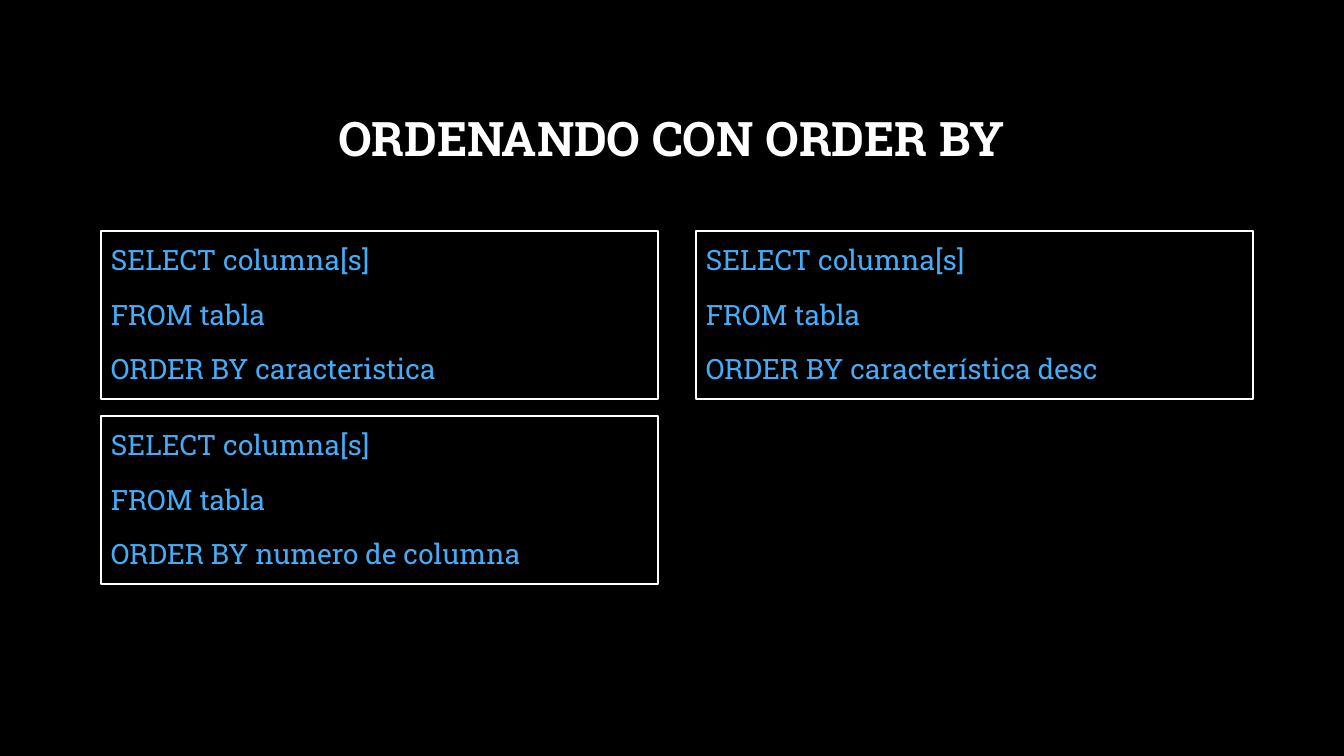
from pptx import Presentation
from pptx.dml.color import RGBColor
from pptx.enum.shapes import MSO_SHAPE
from pptx.enum.text import MSO_ANCHOR, PP_ALIGN
from pptx.util import Pt

SLIDE_WIDTH, SLIDE_HEIGHT = 1344, 756
EMU_PER_PX = 12192000 / SLIDE_WIDTH
FONT = "Roboto Slab"
BLACK, WHITE, BLUE = "000000", "FFFFFF", "45ADF8"

LEFT, TOP = 101, 231
BOX_WIDTH, BOX_HEIGHT = 557, 168
COLUMN_STEP, ROW_STEP = 595, 185

# Column, row and sort criterion of each query
QUERIES = [
    (0, 0, "caracteristica"),
    (0, 1, "numero de columna"),
    (1, 0, "característica desc"),
]


def px(length):
    return round(length * EMU_PER_PX)


def color(value):
    return RGBColor.from_string(value)


def write(frame, lines, *, size, ink, bold=False, align=PP_ALIGN.LEFT,
          anchor=MSO_ANCHOR.TOP, line_spacing=1.0, space_before=0):
    frame.word_wrap = True
    frame.vertical_anchor = anchor
    for index, line in enumerate(lines):
        paragraph = frame.paragraphs[0] if index == 0 else frame.add_paragraph()
        paragraph.alignment = align
        paragraph.line_spacing = line_spacing
        paragraph.space_before = Pt(space_before)
        run = paragraph.add_run()
        run.text = line
        run.font.name = FONT
        run.font.size = Pt(size)
        run.font.bold = bold
        run.font.color.rgb = color(ink)


def add_title(slide, text):
    box = slide.shapes.add_textbox(px(LEFT), px(68), px(1141), px(146))
    write(box.text_frame, [text], size=34, ink=WHITE, bold=True,
          align=PP_ALIGN.CENTER, anchor=MSO_ANCHOR.MIDDLE, line_spacing=0.9)


def add_query(slide, column, row, criterion):
    box = slide.shapes.add_shape(
        MSO_SHAPE.RECTANGLE,
        px(LEFT + column * COLUMN_STEP), px(TOP + row * ROW_STEP),
        px(BOX_WIDTH), px(BOX_HEIGHT))
    box.shadow.inherit = False
    box.fill.solid()
    box.fill.fore_color.rgb = color(BLACK)
    box.line.color.rgb = color(WHITE)
    box.line.width = Pt(2)
    lines = ["SELECT columna[s]", "FROM tabla", f"ORDER BY {criterion}"]
    write(box.text_frame, lines, size=20, ink=BLUE,
          line_spacing=1.2, space_before=10)


def main():
    presentation = Presentation()
    presentation.slide_width = px(SLIDE_WIDTH)
    presentation.slide_height = px(SLIDE_HEIGHT)
    slide = presentation.slides.add_slide(presentation.slide_layouts[6])
    slide.background.fill.solid()
    slide.background.fill.fore_color.rgb = color(BLACK)
    add_title(slide, "ORDENANDO CON ORDER BY")
    for column, row, criterion in QUERIES:
        add_query(slide, column, row, criterion)
    presentation.save("out.pptx")


if __name__ == "__main__":
    main()
